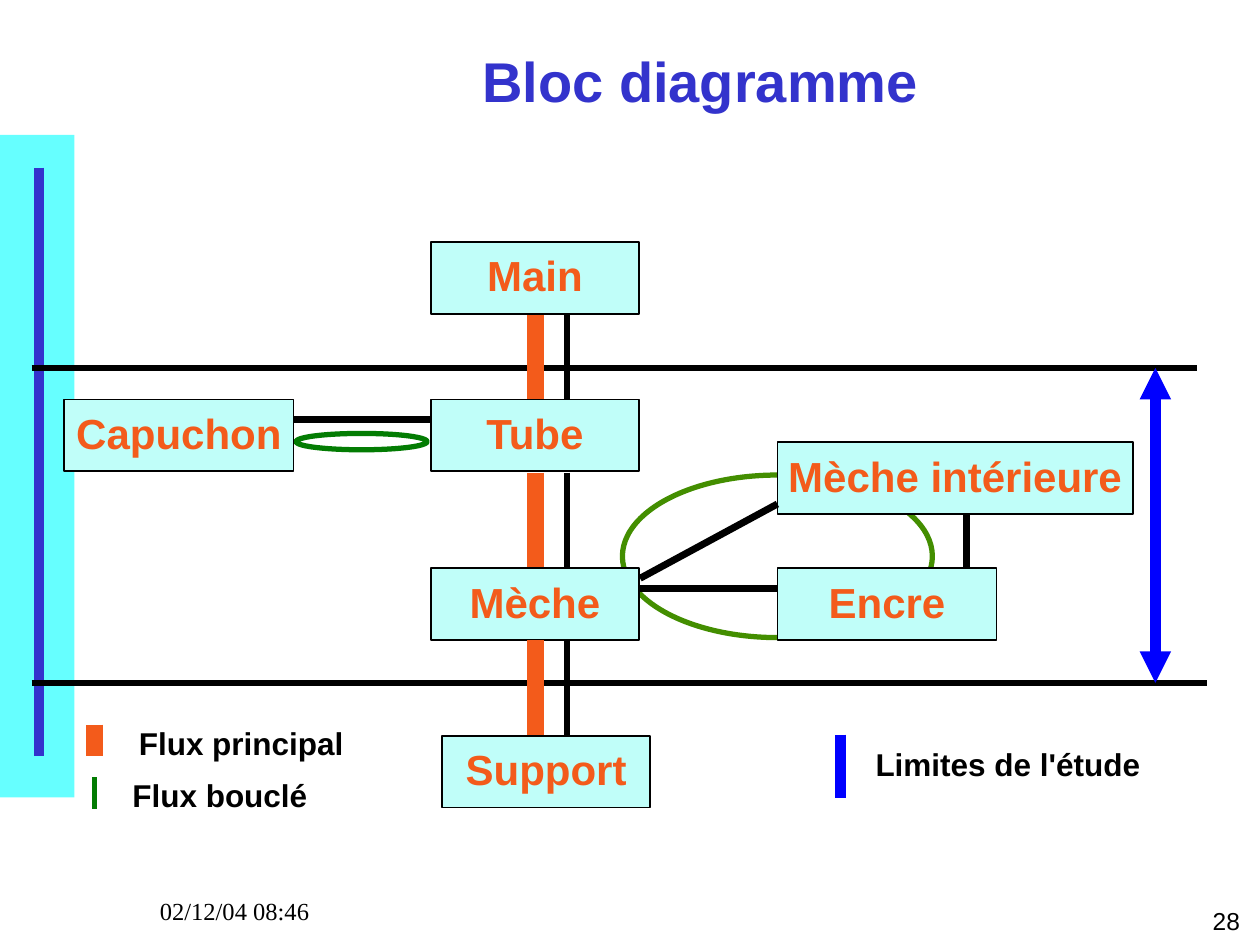
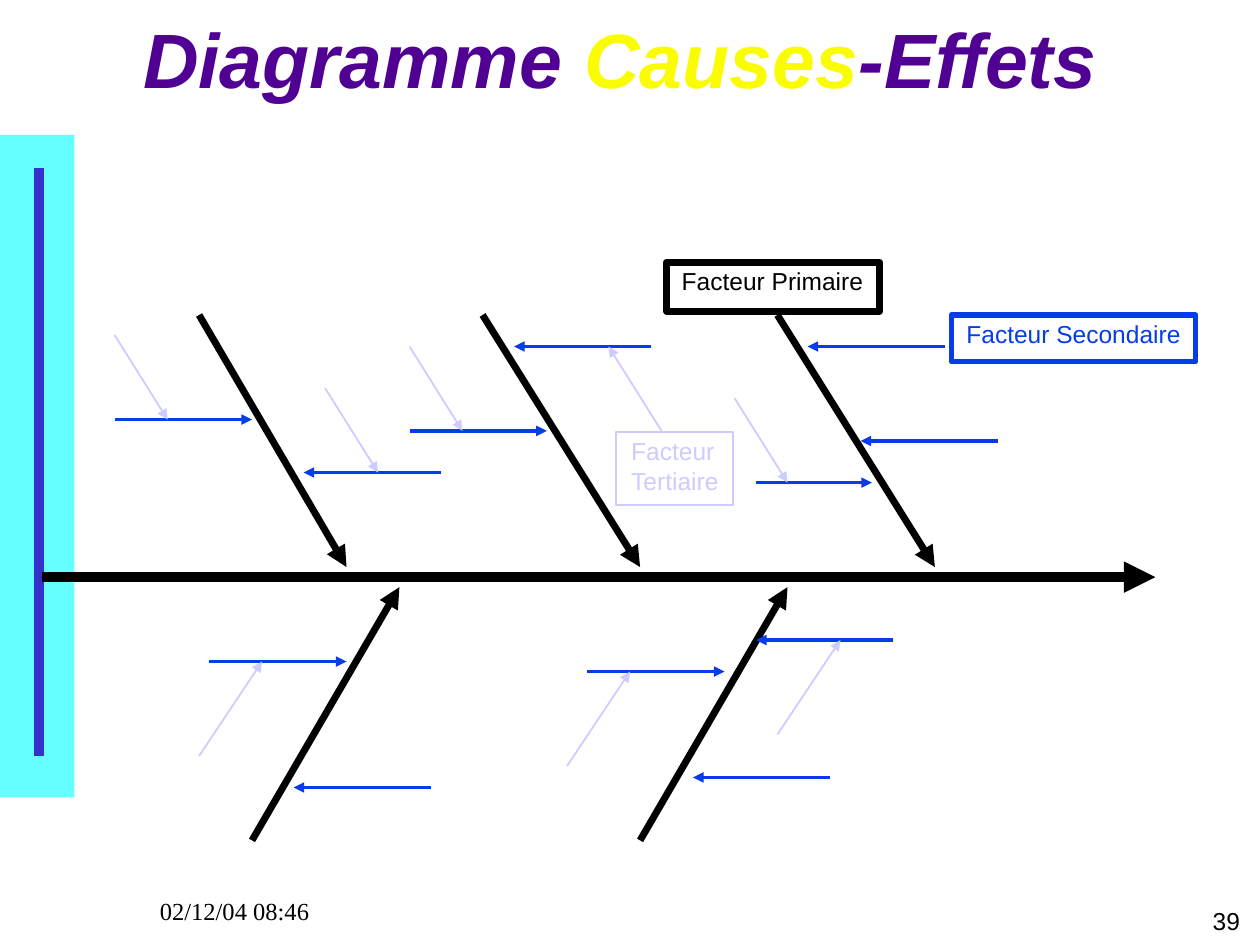
from lxml import etree
from pptx import Presentation
from pptx.dml.color import RGBColor
from pptx.enum.shapes import MSO_CONNECTOR, MSO_SHAPE
from pptx.enum.text import MSO_ANCHOR, PP_ALIGN
from pptx.oxml.ns import qn
from pptx.util import Inches, Pt

LINE = MSO_CONNECTOR.STRAIGHT
RECT, OVAL = MSO_SHAPE.RECTANGLE, MSO_SHAPE.OVAL
LEFT, MID, RIGHT = PP_ALIGN.LEFT, PP_ALIGN.CENTER, PP_ALIGN.RIGHT
TOP, CENTRE = MSO_ANCHOR.TOP, MSO_ANCHOR.MIDDLE

BLACK = RGBColor(0x00, 0x00, 0x00)
WHITE = RGBColor(0xFF, 0xFF, 0xFF)
CYAN = RGBColor(0x66, 0xFF, 0xFF)
PALE = RGBColor(0xC0, 0xFE, 0xF9)
INDIGO = RGBColor(0x33, 0x33, 0xCC)
PURPLE = RGBColor(0x50, 0x00, 0x93)
YELLOW = RGBColor(0xFA, 0xFD, 0x00)
ORANGE = RGBColor(0xF3, 0x5B, 0x1B)
GREEN = RGBColor(0x03, 0x7C, 0x03)
OLIVE = RGBColor(0x43, 0x8E, 0x00)
BLUE = RGBColor(0x00, 0x00, 0xFF)
ROYAL = RGBColor(0x06, 0x3D, 0xE8)
LILAC = RGBColor(0xCC, 0xCC, 0xFF)

SANS, SERIF = "Arial", "Times New Roman"
TWIG = 1.09


def style(run, size, color, bold=False, slant=False, face=SANS):
    font = run.font
    font.name, font.size = face, Pt(size)
    font.bold, font.italic = bold, slant
    font.color.rgb = color


def write(frame, text, size, color, align=MID, bold=False, face=SANS):
    frame.text = text
    frame.paragraphs[0].line_spacing = 0.93
    for para in frame.paragraphs:
        para.alignment = align
        for run in para.runs:
            style(run, size, color, bold, face=face)


def label(slide, area, text, size, color, align=MID, bold=False,
          face=SANS, wrap=True, anchor=TOP):
    frame = slide.shapes.add_textbox(*map(Inches, area)).text_frame
    frame.word_wrap = wrap
    frame.vertical_anchor = anchor
    write(frame, text, size, color, align, bold, face)
    return frame


def shape(slide, kind, area, fill=None, edge=None, width=1):
    item = slide.shapes.add_shape(kind, *map(Inches, area))
    item.shadow.inherit = False
    if fill is None:
        item.fill.background()
    else:
        item.fill.solid()
        item.fill.fore_color.rgb = fill
    if edge is None:
        item.line.fill.background()
    else:
        item.line.color.rgb = edge
        item.line.width = Pt(width)
    return item


def line(slide, start, end, color, width, ends=()):
    item = slide.shapes.add_connector(LINE, *map(Inches, (*start, *end)))
    item.line.color.rgb = color
    item.line.width = Pt(width)
    props = item.element.spPr
    for name in ends:
        tip = etree.SubElement(props.find(qn("a:ln")), qn(f"a:{name}"))
        tip.set("type", "triangle")
    etree.SubElement(props, qn("a:effectLst"))


def arrow(slide, start, end, color, width):
    line(slide, start, end, color, width, ["tailEnd"])


def block(slide, left, top, width, text):
    item = shape(slide, RECT, (left, top, width, 0.57), PALE, BLACK)
    frame = item.text_frame
    frame.word_wrap = False
    frame.vertical_anchor = CENTRE
    write(frame, text, 24, ORANGE, bold=True)


def factor(slide, area, text, color, width):
    frame = shape(slide, RECT, area, None, color, width).text_frame
    frame.word_wrap = False
    frame.vertical_anchor = TOP
    frame.margin_left = Inches(0.12)
    write(frame, text, 14, color, LEFT)


def base(deck, number):
    slide = deck.slides.add_slide(deck.slide_layouts[6])
    shape(slide, RECT, (0, 1.07, 0.59, 5.26), CYAN)
    label(slide, (7.86, 7.16, 2.08, 0.32), number, 14, BLACK, RIGHT)
    label(slide, (1.17, 7.08, 2.08, 0.32), "02/12/04 08:46", 14, BLACK,
          LEFT, face=SERIF)
    line(slide, (0.31, 1.33), (0.31, 6), INDIGO, 6)
    return slide


def flow(deck):
    slide = base(deck, "28")
    shape(slide, OVAL, (4.94, 3.77, 2.46, 1.29), None, OLIVE, 3)
    shape(slide, OVAL, (2.35, 3.44, 1.04, 0.13), WHITE, GREEN, 3)
    label(slide, (1.31, 0.33, 8.5, 0.67), "Bloc diagramme", 32, INDIGO,
          bold=True, anchor=CENTRE)
    for right, y in [(9.5, 2.92), (9.58, 5.42)]:
        line(slide, (0.25, y), (right, y), BLACK, 3)

    for left, top, width, text in [
        (3.42, 1.92, 1.65, "Main"),
        (3.42, 3.17, 1.65, "Tube"),
        (3.42, 4.51, 1.65, "Mèche"),
        (3.51, 5.84, 1.65, "Support"),
        (0.51, 3.17, 1.82, "Capuchon"),
        (6.17, 3.51, 2.82, "Mèche intérieure"),
        (6.17, 4.51, 1.74, "Encre"),
    ]:
        block(slide, left, top, width, text)

    for top, foot in [(2.5, 3.17), (3.75, 4.5), (5.08, 5.83)]:
        line(slide, (4.25, top), (4.25, foot), ORANGE, 10)
        line(slide, (4.5, top), (4.5, foot), BLACK, 4)
    for start, end in [
        ((2.33, 3.33), (3.42, 3.33)),
        ((5.08, 4.59), (6.17, 4)),
        ((7.67, 4.08), (7.67, 4.5)),
        ((5.08, 4.67), (6.17, 4.67)),
    ]:
        line(slide, start, end, BLACK, 4)
    line(slide, (9.17, 2.92), (9.17, 5.42), BLUE, 6, ["headEnd", "tailEnd"])

    for x, top, size, color, width, area, text in [
        (0.75, 5.75, 0.25, ORANGE, 10, (1, 5.72, 1.83, 0.38),
         "Flux principal"),
        (0.75, 6.17, 0.25, GREEN, 3, (0.95, 6.14, 1.59, 0.38),
         "Flux bouclé"),
        (6.67, 5.83, 0.5, BLUE, 6, (6.85, 5.89, 2.3, 0.38),
         "Limites de l'étude"),
    ]:
        line(slide, (x, top), (x, top + size), color, width)
        label(slide, area, text, 18, BLACK, bold=True, wrap=False)


def causes(deck):
    slide = base(deck, "39")
    frame = label(slide, (0.67, 0.11, 8.5, 0.78), "", 44, PURPLE,
                  anchor=CENTRE)
    for text, color in [("Diagramme ", PURPLE), ("Causes", YELLOW),
                        ("-Effets", PURPLE)]:
        run = frame.paragraphs[0].add_run()
        run.text = text
        style(run, 44, color, True, True)

    arrow(slide, (0.33, 4.58), (9.17, 4.58), BLACK, 6)
    for x, tip in [(1.58, 2.75), (3.83, 5.08), (6.17, 7.42)]:
        arrow(slide, (x, 2.5), (tip, 4.5), BLACK, 4)
    for x in (2, 5.08):
        arrow(slide, (x, 6.67), (x + 1.17, 4.66), BLACK, 4)

    for tip, y, size in [
        (2, 3.33, TWIG), (4.34, 3.42, TWIG), (6.92, 3.83, 0.92),
        (5.75, 5.33, TWIG), (2.75, 5.25, TWIG),
    ]:
        arrow(slide, (tip - size, y), (tip, y), ROYAL, 2)
    for tip, y in [
        (2.41, 3.75), (4.08, 2.75), (6.83, 3.5), (6.41, 2.75),
        (6, 5.08), (5.5, 6.17), (2.33, 6.25),
    ]:
        arrow(slide, (tip + TWIG, y), (tip, y), ROYAL, 2)

    for x, y in [(1.33, 3.33), (6.25, 3.83), (3.67, 3.42), (3, 3.75)]:
        arrow(slide, (x - 0.42, y - 0.67), (x, y), LILAC, 1)
    arrow(slide, (5.25, 3.42), (4.83, 2.75), LILAC, 1)
    for x, y in [(2.08, 5.25), (5, 5.33), (6.67, 5.08)]:
        arrow(slide, (x - 0.5, y + 0.75), (x, y), LILAC, 1)

    factor(slide, (5.29, 2.08, 1.69, 0.39), "Facteur Primaire", BLACK, 4)
    factor(slide, (7.55, 2.5, 1.94, 0.37), "Facteur Secondaire", ROYAL, 3)
    factor(slide, (4.89, 3.43, 0.93, 0.58), "Facteur\nTertiaire", LILAC, 1)


def main():
    deck = Presentation()
    deck.slide_width, deck.slide_height = Inches(10), Inches(7.5)
    flow(deck)
    causes(deck)
    deck.save("out.pptx")


if __name__ == "__main__":
    main()
